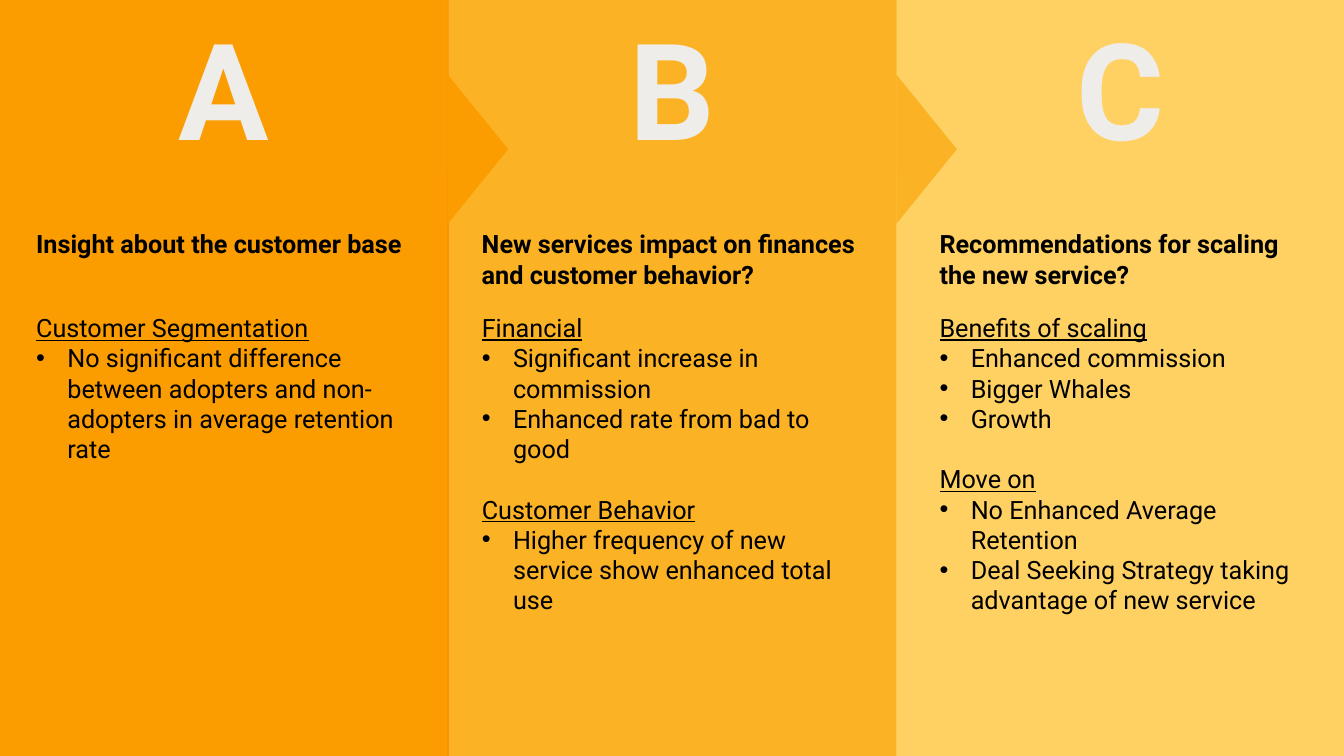
from dataclasses import dataclass

from lxml.etree import SubElement
from pptx import Presentation
from pptx.dml.color import RGBColor
from pptx.enum.shapes import MSO_SHAPE
from pptx.enum.text import MSO_ANCHOR, PP_ALIGN
from pptx.oxml.ns import qn
from pptx.shapes.autoshape import Shape
from pptx.slide import Slide
from pptx.text.text import _Paragraph
from pptx.util import Emu, Pt

PX = 9144  # 100 px to the inch
WIDTH, HEIGHT = 1333, 750
HEADER_H = 172
ARROW_W, ARROW_H = 148, 60
ARROW_TOP = 118
TITLE_TOP, BODY_TOP = 222, 305
BODY_W = 392
INDENT = 31
FONT = "Roboto"
BLACK, LETTER_COLOR, BACKGROUND = "000000", "EFEDEA", "FF8000"
TEXT_SIZE, LETTER_SIZE = 18, 96
SECTION_GAP = Pt(21.6)


@dataclass
class Section:
    heading: str
    bullets: list[str]


@dataclass
class Panel:
    letter: str
    left: int
    width: int
    color: str
    text_left: int
    title: str
    title_w: int
    title_h: int
    body_h: int
    sections: list[Section]
    arrow: bool = True


PANELS = [
    Panel("A", 0, 444, "FB9D00", 26,
          "Insight about the customer base", 392, 40, 162,
          [Section("Customer Segmentation", [
              "No significant difference between adopters and non-adopters "
              "in average retention rate"])]),
    Panel("B", 445, 444, "FBB224", 468,
          "New services impact on finances and customer behavior?", 400, 71, 343,
          [Section("Financial", ["Significant increase in commission",
                                 "Enhanced rate from bad to good"]),
           Section("Customer Behavior", [
               "Higher frequency of new service show enhanced total use"])]),
    Panel("C", 888, 446, "FFD162", 922,
          "Recommendations for scaling the new service?", 379, 71, 343,
          [Section("Benefits of scaling", ["Enhanced commission",
                                           "Bigger Whales", "Growth"]),
           Section("Move on", [
               "No Enhanced Average Retention",
               "Deal Seeking Strategy taking advantage of new service"])],
          arrow=False),
]


def px(n: int) -> Emu:
    return Emu(n * PX)


def rgb(color: str) -> RGBColor:
    return RGBColor.from_string(color)


def add_block(s: Slide, kind: MSO_SHAPE, left: int, top: int,
              width: int, height: int, color: str) -> Shape:
    sp = s.shapes.add_shape(kind, px(left), px(top), px(width), px(height))
    sp.shadow.inherit = False
    sp.fill.solid()
    sp.fill.fore_color.rgb = rgb(color)
    sp.line.fill.background()
    return sp


def add_text(s: Slide, left: int, top: int, width: int, height: int) -> Shape:
    sp = s.shapes.add_textbox(px(left), px(top), px(width), px(height))
    sp.text_frame.word_wrap = True
    return sp


def add_run(p: _Paragraph, text: str, size: int = TEXT_SIZE, color: str = BLACK,
            bold: bool = False, underline: bool = False) -> None:
    r = p.add_run()
    r.text = text
    r.font.name = FONT
    r.font.size = Pt(size)
    r.font.color.rgb = rgb(color)
    r.font.bold = bold
    r.font.underline = underline


def set_bullet(p: _Paragraph) -> None:
    pPr = p._p.get_or_add_pPr()
    pPr.set("marL", str(px(INDENT)))
    pPr.set("indent", str(-px(INDENT)))
    SubElement(pPr, qn("a:buFont")).set("typeface", "Arial")
    SubElement(pPr, qn("a:buChar")).set("char", "•")


def draw_panel(s: Slide, panel: Panel) -> None:
    """Draw the coloured column, its letter and the arrow into the next column."""
    add_block(s, MSO_SHAPE.RECTANGLE, panel.left, 0, panel.width, HEIGHT, panel.color)
    header = add_block(s, MSO_SHAPE.RECTANGLE, panel.left, 0, panel.width,
                       HEADER_H, panel.color)
    tf = header.text_frame
    tf.vertical_anchor = MSO_ANCHOR.MIDDLE
    p = tf.paragraphs[0]
    p.alignment = PP_ALIGN.CENTER
    add_run(p, panel.letter, LETTER_SIZE, LETTER_COLOR, bold=True)
    if panel.arrow:
        # After the quarter turn the triangle's base lies on the column's edge.
        left = panel.left + panel.width - (ARROW_W - ARROW_H) // 2
        arrow = add_block(s, MSO_SHAPE.ISOSCELES_TRIANGLE, left, ARROW_TOP,
                          ARROW_W, ARROW_H, panel.color)
        arrow.rotation = 90


def draw_content(s: Slide, panel: Panel) -> None:
    title = add_text(s, panel.text_left, TITLE_TOP, panel.title_w, panel.title_h)
    add_run(title.text_frame.paragraphs[0], panel.title, bold=True)

    tf = add_text(s, panel.text_left, BODY_TOP, BODY_W, panel.body_h).text_frame
    for i, section in enumerate(panel.sections):
        p = tf.add_paragraph() if i else tf.paragraphs[0]
        if i:
            p.space_before = SECTION_GAP
        add_run(p, section.heading, underline=True)
        for bullet in section.bullets:
            p = tf.add_paragraph()
            set_bullet(p)
            add_run(p, bullet)


def main() -> None:
    prs = Presentation()
    prs.slide_width, prs.slide_height = px(WIDTH), px(HEIGHT)
    s = prs.slides.add_slide(prs.slide_layouts[6])
    s.background.fill.solid()
    s.background.fill.fore_color.rgb = rgb(BACKGROUND)
    for panel in reversed(PANELS):  # each arrow overlaps the column to its right
        draw_panel(s, panel)
    for panel in PANELS:
        draw_content(s, panel)
    prs.save("out.pptx")


if __name__ == "__main__":
    main()
